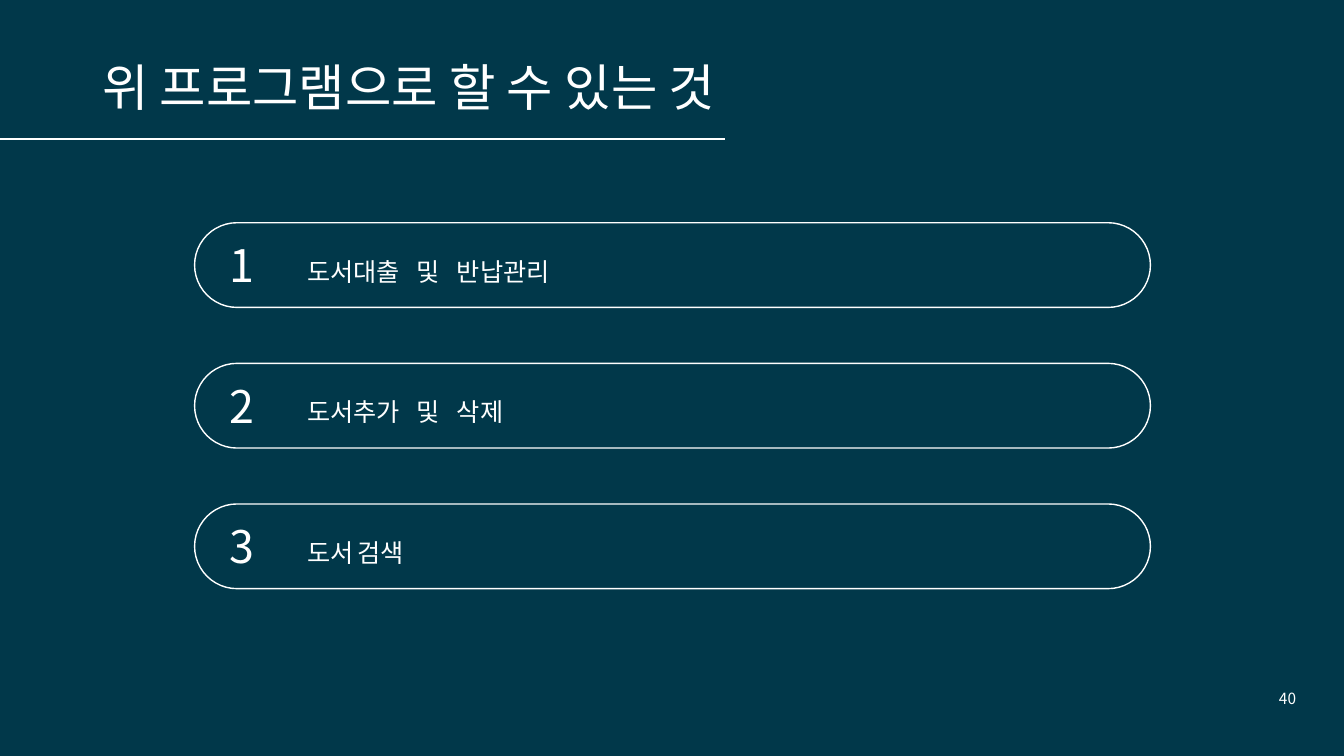
from dataclasses import dataclass

from lxml import etree
from pptx import Presentation
from pptx.dml.color import RGBColor
from pptx.enum.shapes import MSO_CONNECTOR, MSO_SHAPE
from pptx.enum.text import MSO_AUTO_SIZE, PP_ALIGN
from pptx.oxml.ns import qn
from pptx.util import Inches, Pt

STRAIGHT = MSO_CONNECTOR.STRAIGHT
PILL = MSO_SHAPE.ROUNDED_RECTANGLE
GROW = MSO_AUTO_SIZE.SHAPE_TO_FIT_TEXT
LEFT, CENTER, RIGHT = PP_ALIGN.LEFT, PP_ALIGN.CENTER, PP_ALIGN.RIGHT


@dataclass(frozen=True)
class Theme:
    background: RGBColor = RGBColor(0x01, 0x38, 0x4A)
    ink: RGBColor = RGBColor(0xFF, 0xFF, 0xFF)
    font: str = "Noto Sans CJK KR"
    title: int = 36
    number: int = 32
    body: int = 18
    gap: int = 12
    page: int = 11
    rule: float = 1.25
    outline: float = 1


THEME = Theme()

# Words of each entry and the space set between them
ENTRIES = [
    (["도서대출", "및", "반납관리"], "　"),
    (["도서추가", "및", "삭제"], "　"),
    (["도서", "검색"], " "),
]


def add_run(p, text, size):
    r = p.add_run()
    r.text = text
    r.font.size = Pt(size)
    r.font.name = THEME.font
    r.font.color.rgb = THEME.ink
    ea = etree.SubElement(r.font._element, qn("a:ea"))
    ea.set("typeface", THEME.font)


def add_text(shapes, box, runs, align=LEFT, line_spacing=None):
    """Add a one-paragraph text box; runs is a list of (text, size)."""
    tf = shapes.add_textbox(*map(Inches, box)).text_frame
    tf.word_wrap = True
    tf.auto_size = GROW
    p = tf.paragraphs[0]
    p.alignment = align
    if line_spacing:
        p.line_spacing = line_spacing
    for text, size in runs:
        add_run(p, text, size)


def add_header(s, box, text):
    """Place the right-aligned title with a rule along the bottom of the box."""
    x, y, w, h = box
    add_text(s.shapes, (x, y, w, 0.71), [(text, THEME.title)], align=RIGHT)
    rule = s.shapes.add_connector(
        STRAIGHT, Inches(x), Inches(y + h), Inches(x + w), Inches(y + h))
    rule.line.color.rgb = THEME.ink
    rule.line.width = Pt(THEME.rule)
    etree.SubElement(rule._element.spPr, qn("a:effectLst"))


def add_entry(s, box, number, words, space):
    """Group an outlined pill with its number and its label."""
    x, y, w, h = box
    shapes = s.shapes.add_group_shape().shapes
    pill = shapes.add_shape(PILL, *map(Inches, box))
    pill.adjustments[0] = 0.5
    pill.shadow.inherit = False
    pill.fill.background()
    pill.line.color.rgb = THEME.ink
    pill.line.width = Pt(THEME.outline)

    runs = [(words[0], THEME.body)]
    for word in words[1:]:
        runs += [(space, THEME.gap), (word, THEME.body)]
    add_text(shapes, (x + 1.02, y + 0.19, w - 1.21, 0.45), runs, line_spacing=1.3)
    add_text(shapes, (x + 0.2, y + 0.1, 0.54, 0.64),
             [(str(number), THEME.number)], align=CENTER)


def add_entry_list(s, box, entries, entry_height=0.84):
    """Spread the entries evenly from the top to the bottom of the box."""
    x, y, w, h = box
    pitch = (h - entry_height) / (len(entries) - 1)
    for i, (words, space) in enumerate(entries):
        add_entry(s, (x, y + i * pitch, w, entry_height), i + 1, words, space)


def main():
    prs = Presentation()
    prs.slide_width, prs.slide_height = Inches(13.33), Inches(7.5)
    s = prs.slides.add_slide(prs.slide_layouts[6])
    s.background.fill.solid()
    s.background.fill.fore_color.rgb = THEME.background

    add_text(s.shapes, (12.43, 6.79, 0.68, 0.29), [("40", THEME.page)], align=CENTER)
    add_header(s, (0, 0.51, 7.19, 0.87), "위 프로그램으로 할 수 있는 것")
    add_entry_list(s, (1.93, 2.21, 9.48, 3.63), ENTRIES)
    prs.save("out.pptx")


if __name__ == "__main__":
    main()
